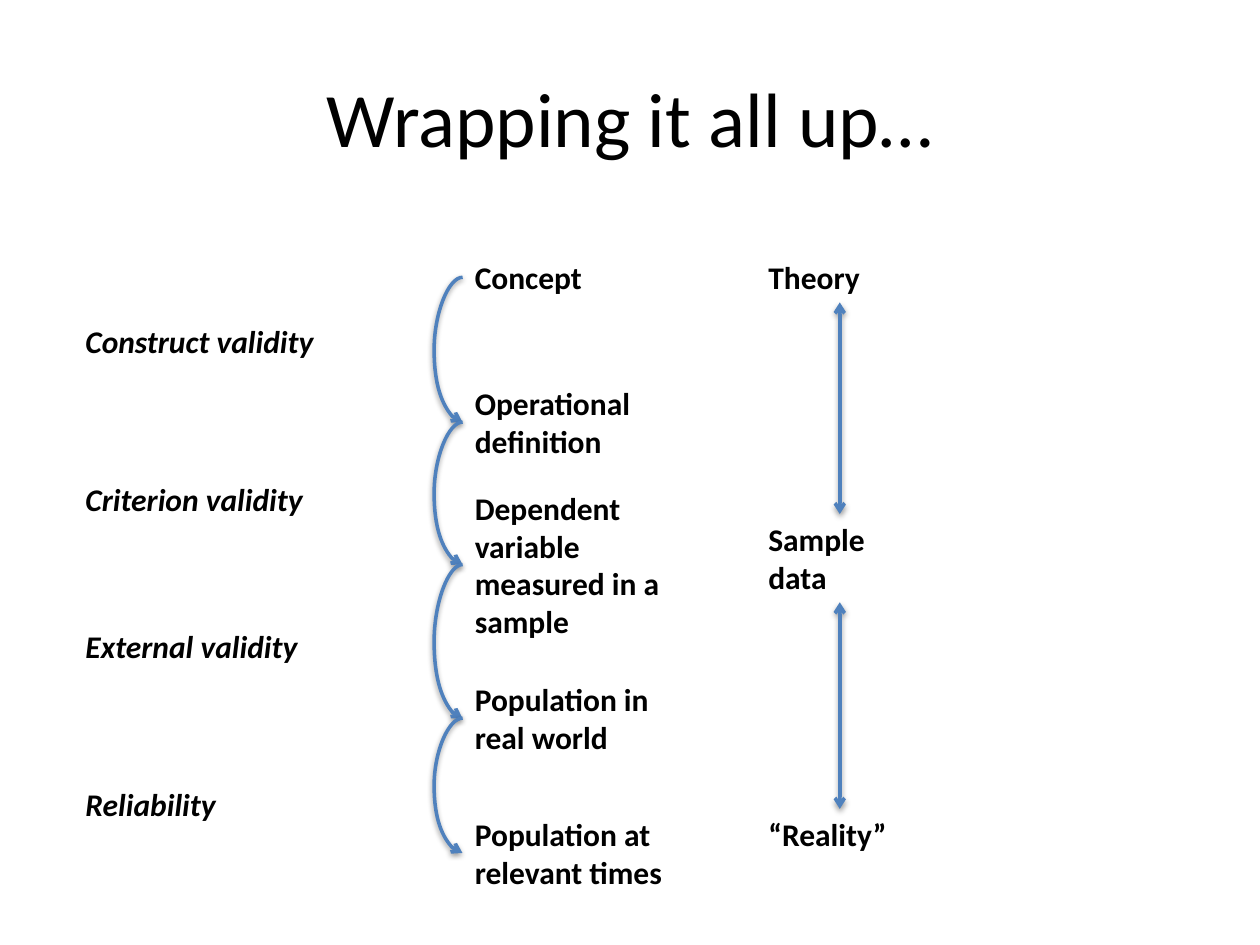
from dataclasses import dataclass
from itertools import pairwise

import pptx
import pptx.dml.color
import pptx.enum.shapes
import pptx.enum.text
import pptx.oxml
import pptx.oxml.ns
import pptx.util
from pptx.util import Emu, Inches, Pt


@dataclass(frozen=True)
class Theme:
    font: str = "Calibri"
    ink: str = "000000"
    line: str = "4F81BD"
    head: int = 44
    body: int = 18
    weight: int = 2


THEME = Theme()
WIDE, HIGH = 10, 7.5
TITLE = "Wrapping it all up…"

# Columns: left edge, italic, then rows of (top, width, line count, paragraphs)
COLUMNS = [
    (3.67, False, [
        (2.0, 1.33, 1, ["Concept"]),
        (3.0, 1.67, 2, ["Operational definition"]),
        (3.83, 2.0, 4, ["Dependent variable measured in a sample"]),
        (5.35, 2.0, 2, ["Population in real world"]),
        (6.42, 2.25, 2, ["Population at relevant times"]),
    ]),
    (0.58, True, [
        (2.51, 2.58, 1, ["Construct validity"]),
        (3.76, 2.58, 1, ["Criterion validity"]),
        (4.93, 2.58, 1, ["External validity"]),
        (6.18, 2.58, 1, ["Reliability"]),
    ]),
    (6.0, False, [
        (2.0, 1.33, 1, ["Theory"]),
        (4.08, 1.33, 2, ["Sample", "data"]),
        (6.42, 1.33, 1, ["“Reality”"]),
    ]),
]
STEP, PAD = 0.3, 0.1    # height of a text line, and of both insets
BULGE = 0.25            # how far the curves reach to the left
THIN = Emu(1588)        # a curve needs some width to scale its bulge by
SHADOW = (
    '<a:effectLst %s><a:outerShdw blurRad="40000" dist="20000" dir="5400000" '
    'rotWithShape="0"><a:srgbClr val="000000"><a:alpha val="38000"/>'
    '</a:srgbClr></a:outerShdw></a:effectLst>' % pptx.oxml.ns.nsdecls("a")
)


def color(code):
    return pptx.dml.color.RGBColor.from_string(code)


def write(para, text, size, bold=False, italic=False):
    run = para.add_run()
    run.text = text
    font = run.font
    font.name, font.size = THEME.font, Pt(size)
    font.bold, font.italic = bold, italic
    font.color.rgb = color(THEME.ink)


def label(slide, left, italic, row):
    top, width, count, paras = row
    box = slide.shapes.add_textbox(
        Inches(left), Inches(top), Inches(width), Inches(PAD + STEP * count))
    frame = box.text_frame
    frame.word_wrap = True
    frame.auto_size = pptx.enum.text.MSO_AUTO_SIZE.SHAPE_TO_FIT_TEXT
    for i, text in enumerate(paras):
        para = frame.paragraphs[0] if i == 0 else frame.add_paragraph()
        write(para, text, THEME.body, True, italic)


def arrow(slide, kind, start, stop, ends):
    """Add a shadowed line; ends lists which of headEnd, tailEnd get arrows."""
    link = slide.shapes.add_connector(kind, *start, *stop)
    link.line.color.rgb = color(THEME.line)
    link.line.width = Pt(THEME.weight)
    props = link._element.spPr
    for end in ends:
        tip = pptx.oxml.parse_xml(
            f'<a:{end} {pptx.oxml.ns.nsdecls("a")} type="arrow"/>')
        props.ln.append(tip)
    props.append(pptx.oxml.parse_xml(SHADOW))
    return props


def curve(slide, x, top, low):
    """Bow a one-way arrow out to the left of x."""
    kind = pptx.enum.shapes.MSO_CONNECTOR.CURVE
    left = Inches(x)
    props = arrow(slide, kind, (left, Inches(top)),
                  (left + THIN, Inches(low)), ["tailEnd"])
    props.xfrm.set("rot", "10800000")
    props.xfrm.set("flipV", "1")
    ratio = round(Inches(BULGE) / THIN * 100000)
    guides = props.prstGeom.get_or_add_avLst()
    guides.append(pptx.oxml.parse_xml(
        f'<a:gd {pptx.oxml.ns.nsdecls("a")} name="adj1" fmla="val {ratio}"/>'))


def main():
    deck = pptx.Presentation()
    deck.slide_width, deck.slide_height = Inches(WIDE), Inches(HIGH)
    slide = deck.slides.add_slide(deck.slide_layouts[5])

    title = slide.shapes.title
    title.left, title.top = Inches(0.05 * WIDE), Inches(0.04 * HIGH)
    title.width, title.height = Inches(0.9 * WIDE), Inches(HIGH / 6)
    title.text_frame.vertical_anchor = pptx.enum.text.MSO_ANCHOR.MIDDLE
    para = title.text_frame.paragraphs[0]
    para.alignment = pptx.enum.text.PP_ALIGN.CENTER
    write(para, TITLE, THEME.head)

    for left, italic, rows in COLUMNS:
        for row in rows:
            label(slide, left, italic, row)

    # Curves join the middles of the boxes in the first column
    left, _, rows = COLUMNS[0]
    mids = [top + (PAD + STEP * count) / 2 for top, _, count, _ in rows]
    for top, low in pairwise(mids):
        curve(slide, left, top, low)

    # Straight arrows fill the gaps in the last column
    left, _, rows = COLUMNS[2]
    x = Inches(left + rows[0][1] / 2)
    kind = pptx.enum.shapes.MSO_CONNECTOR.STRAIGHT
    for above, below in pairwise(rows):
        top = above[0] + PAD + STEP * above[2]
        arrow(slide, kind, (x, Inches(top)), (x, Inches(below[0])),
              ["headEnd", "tailEnd"])

    deck.save("out.pptx")


if __name__ == "__main__":
    main()
